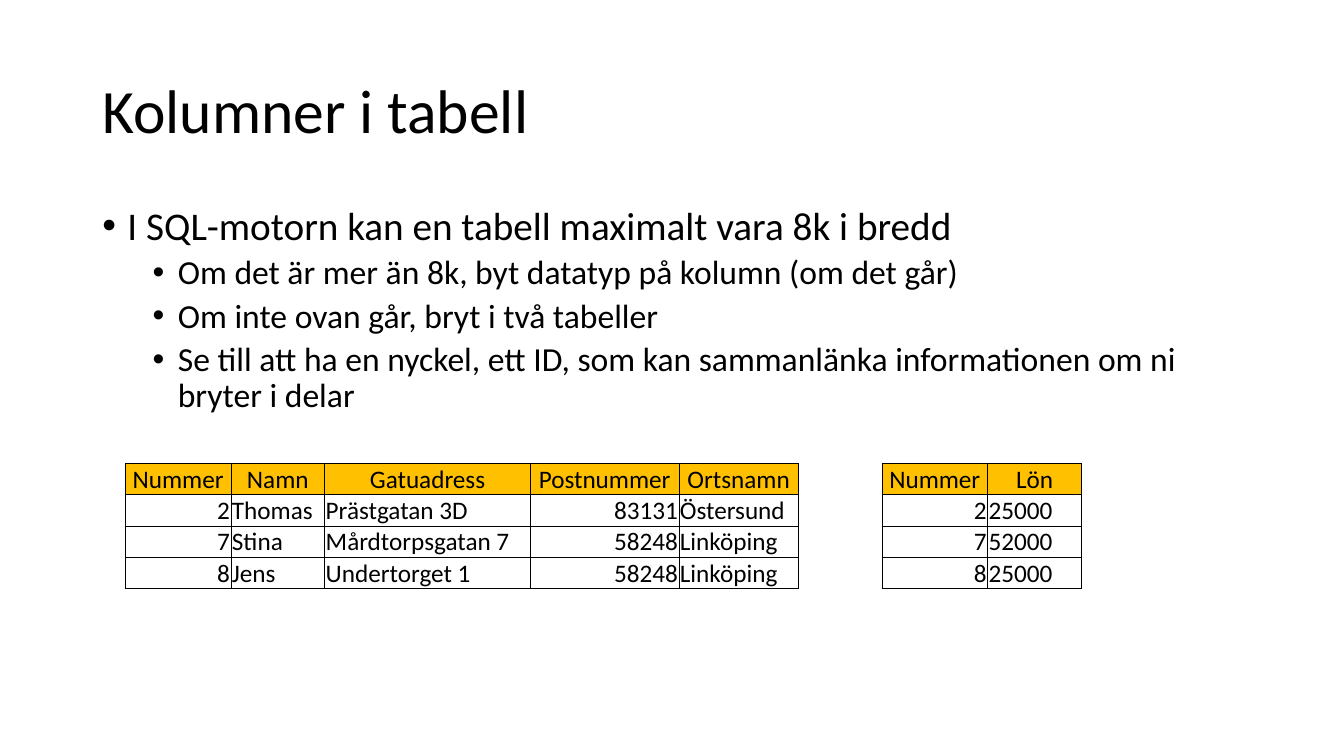
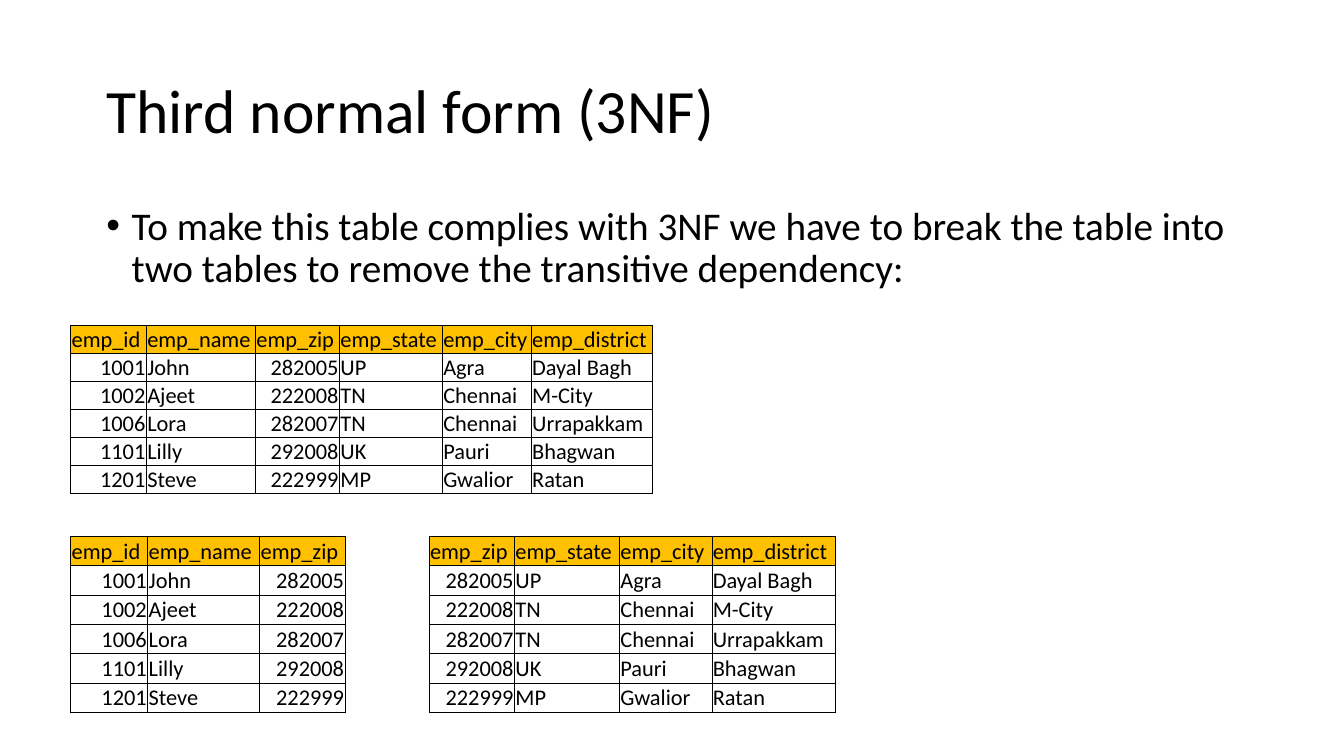
from pptx import Presentation
from pptx.dml.color import RGBColor
from pptx.enum.text import MSO_ANCHOR as Anchor, PP_ALIGN as Align
from pptx.oxml import parse_xml
from pptx.oxml.ns import nsdecls
from pptx.util import Pt

FONT = "Calibri"
INK = "000000"
HEADER_FILL = "FFC000"
BODY_LEVELS = [(28, 18, 10), (24, 54, 5)]
HANGING = 18


def add_span(para, text, size):
    span = para.add_run()
    span.text = text
    span.font.name = FONT
    span.font.size = Pt(size)
    span.font.color.rgb = RGBColor.from_string(INK)


def add_grid(page, left, top, widths, row_height, size, header_align, rows):
    frame = page.shapes.add_table(
        len(rows), len(widths), Pt(left), Pt(top), Pt(sum(widths)), Pt(row_height * len(rows))
    )
    table = frame.table
    table.first_row = table.horz_banding = False
    for column, width in zip(table.columns, widths):
        column.width = Pt(width)
    for row_index, values in enumerate(rows):
        table.rows[row_index].height = Pt(row_height)
        for column_index, value in enumerate(values):
            cell = table.cell(row_index, column_index)
            cell.margin_left = cell.margin_right = cell.margin_top = Pt(0.72)
            cell.margin_bottom = Pt(0)
            cell.vertical_anchor = Anchor.MIDDLE
            properties = cell._tc.get_or_add_tcPr()
            for side in ("lnL", "lnR", "lnT", "lnB"):
                properties.append(parse_xml(
                    f'<a:{side} {nsdecls("a")} w="{Pt(0.5)}"><a:solidFill>'
                    f'<a:srgbClr val="{INK}"/></a:solidFill></a:{side}>'
                ))
            para = cell.text_frame.paragraphs[0]
            if row_index == 0:
                cell.fill.solid()
                cell.fill.fore_color.rgb = RGBColor.from_string(HEADER_FILL)
                para.alignment = header_align
            else:
                cell.fill.background()
                para.alignment = Align.RIGHT if isinstance(value, int) else Align.LEFT
            add_span(para, str(value), size)


addresses = [
    ("Nummer", "Namn", "Gatuadress", "Postnummer", "Ortsnamn"),
    (2, "Thomas", "Prästgatan 3D", 83131, "Östersund"),
    (7, "Stina", "Mårdtorpsgatan 7", 58248, "Linköping"),
    (8, "Jens", "Undertorget 1", 58248, "Linköping"),
]
salaries = [("Nummer", "Lön"), (2, "25000"), (7, "52000"), (8, "25000")]
employees = [
    ("emp_id", "emp_name", "emp_zip", "emp_state", "emp_city", "emp_district"),
    (1001, "John", 282005, "UP", "Agra", "Dayal Bagh"),
    (1002, "Ajeet", 222008, "TN", "Chennai", "M-City"),
    (1006, "Lora", 282007, "TN", "Chennai", "Urrapakkam"),
    (1101, "Lilly", 292008, "UK", "Pauri", "Bhagwan"),
    (1201, "Steve", 222999, "MP", "Gwalior", "Ratan"),
]
people = [row[:3] for row in employees]
places = [row[2:] for row in employees]

slides = [
    (
        66, "Kolumner i tabell", 343,
        [
            (0, "I SQL-motorn kan en tabell maximalt vara 8k i bredd"),
            (1, "Om det är mer än 8k, byt datatyp på kolumn (om det går)"),
            (1, "Om inte ovan går, bryt i två tabeller"),
            (1, "Se till att ha en nyckel, ett ID, som kan sammanlänka "
                "informationen om ni bryter i delar"),
        ],
        [
            (89.5, 331, [75.5, 67, 147, 106, 85.5], 22, 18, Align.CENTER, addresses),
            (630, 331, [75.5, 67], 22, 18, Align.CENTER, salaries),
        ],
    ),
    (
        69, "Third normal form (3NF)", 396,
        [
            (0, "To make this table complies with 3NF we have to break the table "
                "into two tables to remove the transitive dependency:"),
        ],
        [
            (50.5, 232.5, [54, 78, 60, 73.5, 63.5, 86.5], 20, 16, Align.LEFT, employees),
            (50.5, 383, [55, 80, 61], 21, 16, Align.LEFT, people),
            (306.5, 383, [61, 75, 66, 88], 21, 16, Align.LEFT, places),
        ],
    ),
]

deck = Presentation()
deck.slide_width = Pt(960)
deck.slide_height = Pt(540)

for left, title, body_height, bullets, grids in slides:
    page = deck.slides.add_slide(deck.slide_layouts[6])

    title_box = page.shapes.add_textbox(Pt(left), Pt(29), Pt(828), Pt(104))
    title_box.text_frame.word_wrap = True
    title_box.text_frame.vertical_anchor = Anchor.MIDDLE
    para = title_box.text_frame.paragraphs[0]
    para.line_spacing = 0.9
    add_span(para, title, 44)

    body_box = page.shapes.add_textbox(Pt(left), Pt(144), Pt(828), Pt(body_height))
    body = body_box.text_frame
    body.word_wrap = True
    for index, (level, text) in enumerate(bullets):
        size, indent, space_before = BODY_LEVELS[level]
        para = body.add_paragraph() if index else body.paragraphs[0]
        properties = para._p.get_or_add_pPr()
        properties.set("marL", str(Pt(indent)))
        properties.set("indent", str(Pt(-HANGING)))
        properties.append(parse_xml(f'<a:buFont {nsdecls("a")} typeface="Arial"/>'))
        properties.append(parse_xml(f'<a:buChar {nsdecls("a")} char="•"/>'))
        para.level = level
        para.line_spacing = 0.9
        if index:
            para.space_before = Pt(space_before)
        add_span(para, text, size)

    for grid in grids:
        add_grid(page, *grid)

deck.save("out.pptx")
